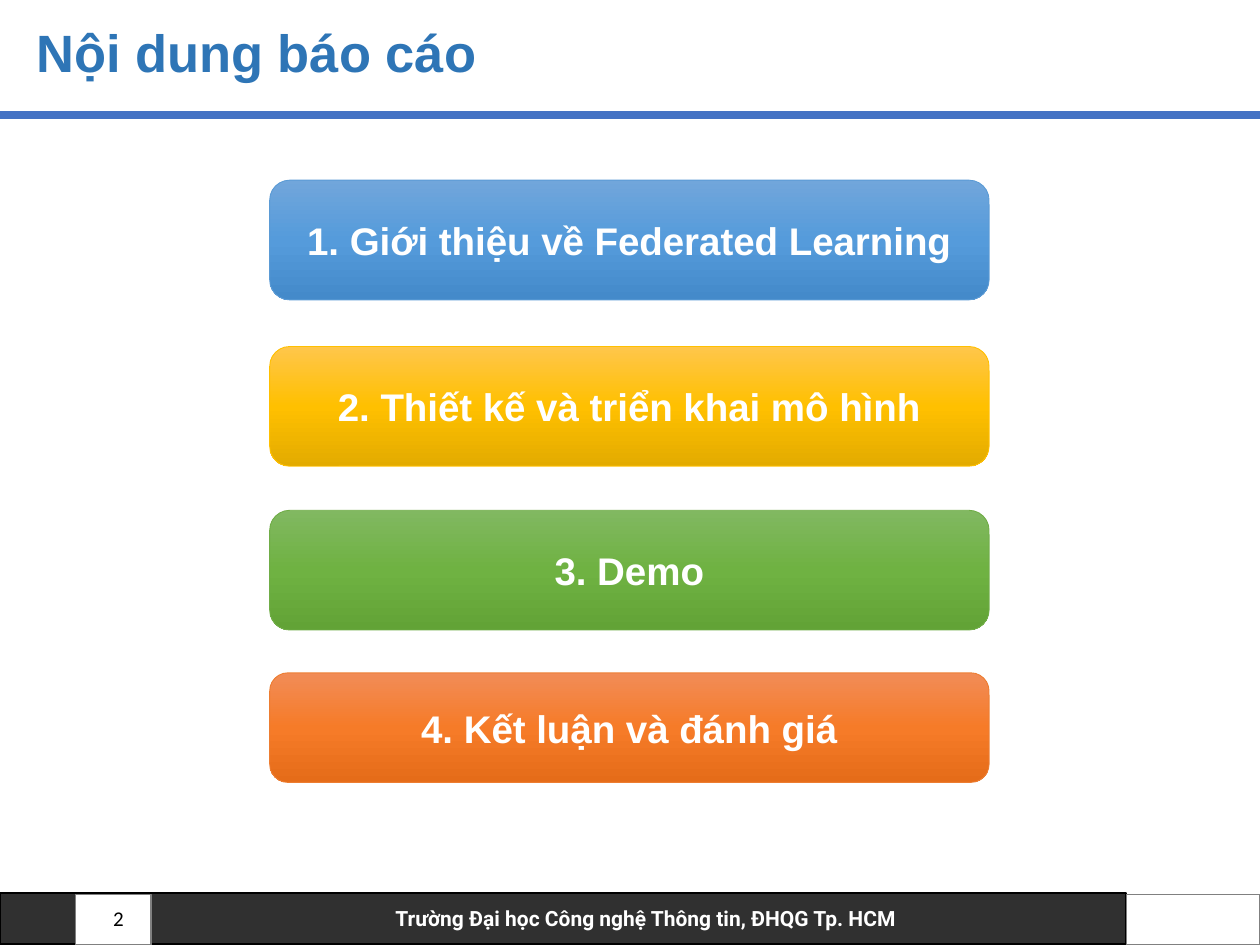
"""Build the agenda slide with four gradient bars and a footer."""
from copy import deepcopy
from dataclasses import dataclass

from lxml import etree
from pptx import Presentation
from pptx.dml.color import RGBColor
from pptx.enum.shapes import MSO_CONNECTOR, MSO_SHAPE
from pptx.enum.text import MSO_ANCHOR, PP_ALIGN
from pptx.oxml.ns import qn
from pptx.util import Inches, Pt

RECT = MSO_SHAPE.RECTANGLE
ROUND = MSO_SHAPE.ROUNDED_RECTANGLE
STRAIGHT = MSO_CONNECTOR.STRAIGHT
MIDDLE = MSO_ANCHOR.MIDDLE
LEFT, CENTER, RIGHT = PP_ALIGN.LEFT, PP_ALIGN.CENTER, PP_ALIGN.RIGHT

COLORS = {
    "black": "000000",
    "white": "FFFFFF",
    "gray": "808080",
    "rule": "4472C4",
    "title": "2E75B6",
    "blue": "5B9BD5",
    "gold": "FFC000",
    "green": "70AD47",
    "orange": "ED7D31",
}
SHADES = {
    "blue": ("71A6DB", "559BDB", "448ACA"),
    "gold": ("FFC64B", "FFC000", "E3AB00"),
    "green": ("81B861", "6FB242", "62A336"),
    "orange": ("F18C57", "F67B28", "E56C19"),
}


@dataclass
class Box:
    left: float
    top: float
    width: float
    height: float

    def emu(self) -> tuple:
        return tuple(Inches(n) for n in (self.left, self.top, self.width, self.height))


@dataclass
class Style:
    size: float
    font: str
    color: str
    bold: bool = True
    align: PP_ALIGN = CENTER


@dataclass
class Topic:
    text: str
    color: str
    top: float
    height: float = 0.95


TOPICS = [
    Topic("1. Giới thiệu về Federated Learning", "blue", 1.43),
    Topic("2. Thiết kế và triển khai mô hình", "gold", 2.75),
    Topic("3. Demo", "green", 4.05),
    Topic("4. Kết luận và đánh giá", "orange", 5.34, 0.87),
]
TITLE = Style(30, "Arial", "title", align=LEFT)
TOPIC = Style(22, "Arial", "white")
FOOTER = Style(12, "Roboto", "white")
NUMBER = Style(12, "Calibri", "black", False, RIGHT)


def rgb(name: str) -> RGBColor:
    return RGBColor.from_string(COLORS[name])


def write(shape, text: str, style: Style):
    frame = shape.text_frame
    frame.text = text
    frame.word_wrap = True
    frame.vertical_anchor = MIDDLE
    para = frame.paragraphs[0]
    para.alignment = style.align
    font = para.runs[0].font
    font.size, font.name, font.bold = Pt(style.size), style.font, style.bold
    font.color.rgb = rgb(style.color)
    return para


def label(slide, box: Box, text: str, style: Style):
    return write(slide.shapes.add_textbox(*box.emu()), text, style)


def panel(slide, kind: MSO_SHAPE, box: Box, fill: str, line: str, weight: float):
    shape = slide.shapes.add_shape(kind, *box.emu())
    shape.shadow.inherit = False
    shape.fill.solid()
    shape.fill.fore_color.rgb = rgb(fill)
    shape.line.color.rgb = rgb(line)
    shape.line.width = Pt(weight)
    return shape


def blend(shape, shades: tuple) -> None:
    fill = shape.fill
    fill.gradient()
    fill.gradient_angle = 270
    stops = shape._element.spPr.find(qn("a:gradFill")).find(qn("a:gsLst"))
    stops.insert(1, deepcopy(stops[0]))
    for stop, shade, spot in zip(fill.gradient_stops, shades, (0, 0.5, 1)):
        stop.color.rgb = RGBColor.from_string(shade)
        stop.position = spot


def rule(slide, top: float) -> None:
    line = slide.shapes.add_connector(
        STRAIGHT, Inches(0), Inches(top), Inches(10), Inches(top))
    line.line.color.rgb = rgb("rule")
    line.line.width = Pt(4.5)
    etree.SubElement(line._element.spPr, qn("a:effectLst"))


def footer(slide) -> None:
    band = panel(slide, RECT, Box(0, 7.09, 8.94, 0.4), "black", "black", 1)
    tint = band._element.spPr.find(qn("a:solidFill"))[0]
    etree.SubElement(tint, qn("a:alpha")).set("val", "81000")
    para = write(band, "Trường Đại học Công nghệ Thông tin, ĐHQG Tp. HCM", FOOTER)
    para._p.get_or_add_pPr().set("marL", str(Inches(1.31)))
    frame = band.text_frame
    frame.margin_left = frame.margin_right = Inches(0.15)
    frame.margin_top = frame.margin_bottom = Inches(0.07)
    for left, width in ((0.6, 0.6), (8.94, 1.06)):
        panel(slide, RECT, Box(left, 7.1, width, 0.4), "white", "gray", 1)


def main() -> None:
    deck = Presentation()
    deck.slide_width, deck.slide_height = Inches(10), Inches(7.5)
    slide = deck.slides.add_slide(deck.slide_layouts[6])
    footer(slide)
    rule(slide, 0.91)
    title = label(slide, Box(0.19, 0.16, 8.98, 0.56), "Nội dung báo cáo", TITLE)
    title.line_spacing = 0.9
    label(slide, Box(0.64, 7.09, 0.44, 0.4), "2", NUMBER)
    for topic in TOPICS:
        box = Box(2.14, topic.top, 5.71, topic.height)
        bar = panel(slide, ROUND, box, topic.color, topic.color, 0.5)
        blend(bar, SHADES[topic.color])
        write(bar, topic.text, TOPIC)
    deck.save("out.pptx")


if __name__ == "__main__":
    main()
